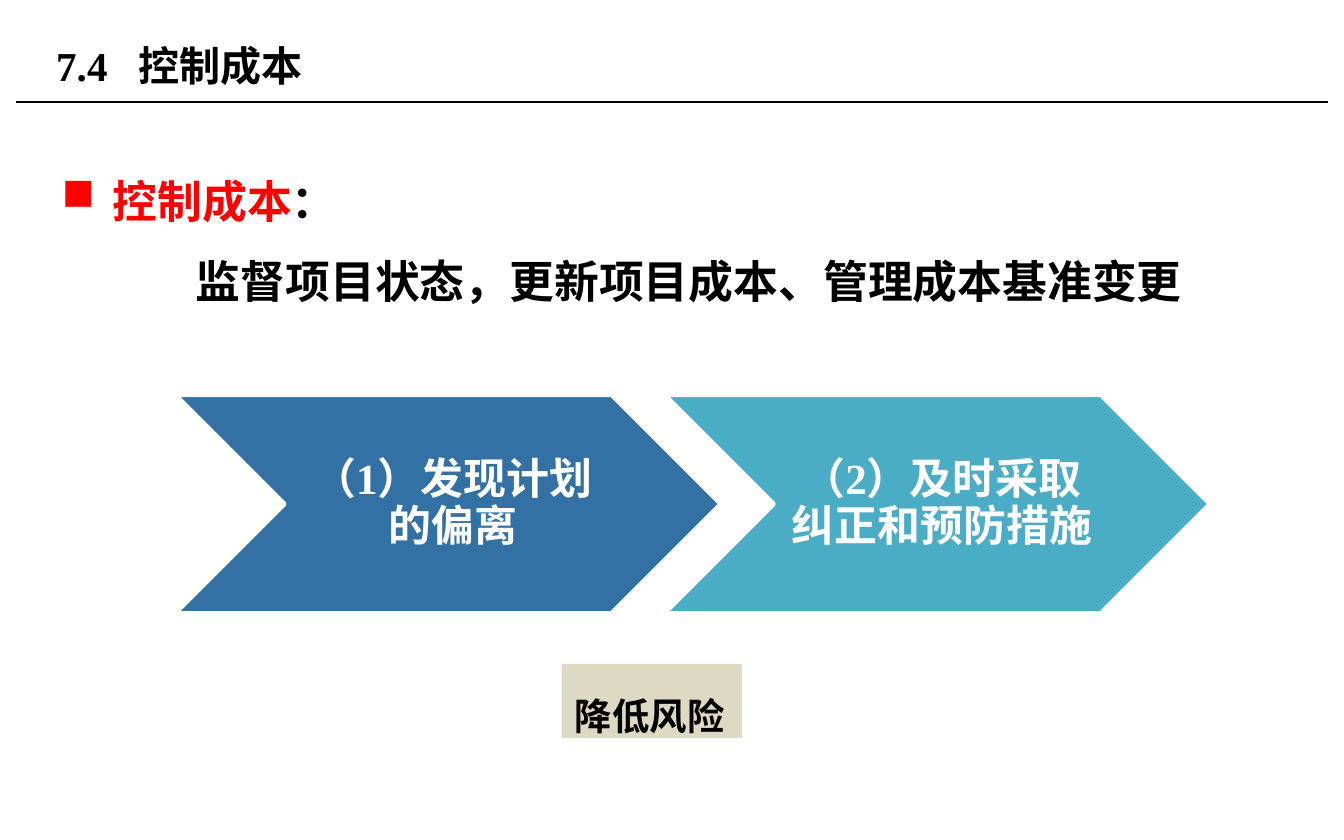
"""Build the cost control slide with its two step chevrons."""
from dataclasses import dataclass
from typing import Any, NamedTuple

from lxml.etree import SubElement
from pptx import Presentation
from pptx.dml.color import RGBColor
from pptx.enum.shapes import MSO_CONNECTOR, MSO_SHAPE
from pptx.enum.text import MSO_ANCHOR, MSO_AUTO_SIZE, PP_ALIGN
from pptx.oxml.ns import qn
from pptx.util import Emu, Pt

SCALE = 9144


@dataclass(frozen=True)
class Theme:
    """Hold the colours, font and type sizes."""
    font: str = "Times New Roman"
    ink: str = "000000"
    key: str = "FF0000"
    white: str = "FFFFFF"
    blue: str = "3371A4"
    teal: str = "4BACC6"
    sand: str = "DDD9C3"
    title: int = 22
    body: int = 24
    step: int = 23
    note: int = 20


class Box(NamedTuple):
    """Give a frame in px."""
    left: int
    top: int
    width: int
    height: int


class Part(NamedTuple):
    """Give a run of text and its colour."""
    text: str
    color: str


class Step(NamedTuple):
    """Give a chevron's text and fill."""
    text: str
    fill: str


THEME = Theme()
STEPS = (Step("（1）发现计划的偏离", THEME.blue), Step("（2）及时采取纠正和预防措施", THEME.teal))
FIRST = Box(131, 294, 405, 162)
PITCH = 364


def px(size: int) -> Emu:
    """Turn px into EMU."""
    return Emu(size * SCALE)


def apply(item: Any, form: dict[str, Any]) -> None:
    """Set each format value on an item."""
    for name, value in form.items():
        setattr(item, name, value)


def write(para: Any, parts: tuple[Part, ...], size: int, form: dict[str, Any]) -> None:
    """Fill a paragraph with bold runs."""
    apply(para, form)
    for part in parts:
        run = para.add_run()
        run.text = part.text
        apply(run.font, {"name": THEME.font, "size": Pt(size), "bold": True})
        run.font.color.rgb = RGBColor.from_string(part.color)


def add_text(slide: Any, box: Box, anchor: MSO_ANCHOR) -> Any:
    """Add a wrapping text box and return its frame."""
    frame = slide.shapes.add_textbox(*map(px, box)).text_frame
    apply(frame, {"word_wrap": True, "vertical_anchor": anchor})
    return frame


def add_shape(slide: Any, kind: MSO_SHAPE, box: Box, fill: str) -> Any:
    """Add a flat filled shape without an outline."""
    shape = slide.shapes.add_shape(kind, *map(px, box))
    shape.shadow.inherit = False
    shape.fill.solid()
    shape.fill.fore_color.rgb = RGBColor.from_string(fill)
    shape.line.fill.background()
    return shape


def add_title(slide: Any) -> None:
    """Add the heading and the rule under it."""
    para = add_text(slide, Box(32, 13, 638, 71), MSO_ANCHOR.MIDDLE).paragraphs[0]
    tabs = SubElement(para._p.get_or_add_pPr(), qn("a:tabLst"))
    SubElement(tabs, qn("a:tab"), pos=str(px(61)), algn="l")
    write(para, (Part("7.4\t控制成本", THEME.ink),), THEME.title, {})
    rule = slide.shapes.add_connector(MSO_CONNECTOR.STRAIGHT, px(12), px(76), px(988), px(76))
    rule.line.color.rgb = RGBColor.from_string(THEME.ink)
    rule.line.width = Pt(0.75)
    SubElement(rule._element.spPr, qn("a:effectLst"))


def add_body(slide: Any) -> None:
    """Add the bulleted term and its meaning."""
    frame = add_text(slide, Box(36, 104, 898, 390), MSO_ANCHOR.TOP)
    form = {"line_spacing": 1.5}
    term = frame.paragraphs[0]
    props = term._p.get_or_add_pPr()
    apply(term, form)
    props.set("marL", str(px(38)))
    props.set("indent", str(-px(38)))
    SubElement(props, qn("a:buChar"), char="■")
    write(term, (Part("控制成本", THEME.key), Part("：", THEME.ink)), THEME.body, {})
    sense = frame.add_paragraph()
    sense._p.get_or_add_pPr().set("marL", str(px(100)))
    write(sense, (Part("监督项目状态，更新项目成本、管理成本基准变更", THEME.ink),), THEME.body, form)


def add_step(slide: Any, box: Box, step: Step) -> None:
    """Add one chevron with its text."""
    shape = add_shape(slide, MSO_SHAPE.CHEVRON, box, step.fill)
    shape.line.color.rgb = RGBColor.from_string(THEME.white)
    shape.line.width = Pt(2)
    frame = shape.text_frame
    apply(frame, {"word_wrap": True, "vertical_anchor": MSO_ANCHOR.MIDDLE, "margin_left": px(10),
                  "margin_top": px(3), "margin_right": px(3), "margin_bottom": px(3)})
    write(frame.paragraphs[0], (Part(step.text, THEME.white),), THEME.step,
          {"alignment": PP_ALIGN.CENTER, "line_spacing": 0.9})


def add_note(slide: Any) -> None:
    """Add the result label."""
    frame = add_shape(slide, MSO_SHAPE.RECTANGLE, Box(418, 494, 134, 55), THEME.sand).text_frame
    apply(frame, {"word_wrap": True, "vertical_anchor": MSO_ANCHOR.TOP,
                  "auto_size": MSO_AUTO_SIZE.SHAPE_TO_FIT_TEXT})
    write(frame.paragraphs[0], (Part("降低风险", THEME.ink),), THEME.note,
          {"alignment": PP_ALIGN.LEFT, "line_spacing": 1.5})


def main() -> None:
    """Build and save the slide."""
    deck = Presentation()
    apply(deck, {"slide_width": px(1000), "slide_height": px(625)})
    slide = deck.slides.add_slide(deck.slide_layouts[6])
    add_title(slide)
    add_body(slide)
    add_note(slide)
    for rank, step in enumerate(STEPS):
        add_step(slide, FIRST._replace(left=FIRST.left + rank * PITCH), step)
    deck.save("out.pptx")


if __name__ == "__main__":
    main()
